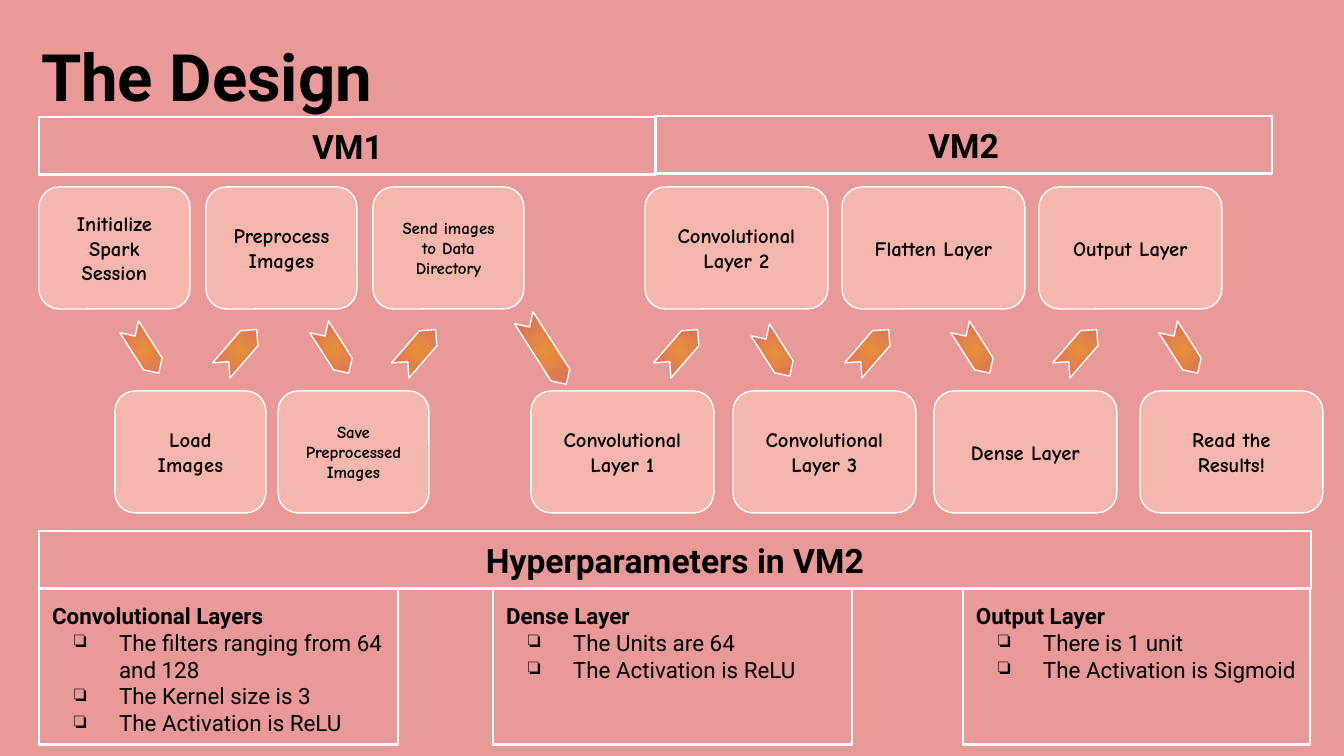
"""Builds the design slide: a two-machine pipeline and its hyperparameters."""
from lxml import etree
from pptx import Presentation
from pptx.dml.color import RGBColor
from pptx.enum.shapes import MSO_SHAPE
from pptx.enum.text import MSO_ANCHOR, MSO_AUTO_SIZE, PP_ALIGN
from pptx.oxml.ns import qn
from pptx.util import Pt

RECTANGLE, ROUNDED = MSO_SHAPE.RECTANGLE, MSO_SHAPE.ROUNDED_RECTANGLE
CHEVRON = MSO_SHAPE.CHEVRON
TOP, MIDDLE = MSO_ANCHOR.TOP, MSO_ANCHOR.MIDDLE
LEFT, CENTER = PP_ALIGN.LEFT, PP_ALIGN.CENTER

COLORS = {"background": "EA9999", "box": "F4B6AD", "line": "FFFFFF", "text": "000000",
          "arrow_center": "E69138", "arrow_edge": "D96868"}
HEADING_FONT, STEP_FONT = "Roboto", "Comic Neue"
SCALE = 914400 / 134.4
PADDING = 13

TITLE = "The Design"
STEPS = [
    ("Initialize Spark Session", 39, 151, 11),
    ("Load Images", 115, 151, 11),
    ("Preprocess Images", 206, 151, 11),
    ("Save Preprocessed Images", 278, 151, 9),
    ("Send images to Data Directory", 373, 151, 9),
    ("Convolutional Layer 1", 531, 183, 11),
    ("Convolutional Layer 2", 645, 183, 11),
    ("Convolutional Layer 3", 733, 183, 11),
    ("Flatten Layer", 842, 183, 11),
    ("Dense Layer", 934, 183, 11),
    ("Output Layer", 1039, 183, 11),
    ("Read the Results!", 1140, 183, 11),
]
ROW_TOPS, STEP_HEIGHT = (187, 391), 122
ARROW_CENTERS = [(144, 350), (239, 350), (334, 350), (418, 350), (545, 351), (680, 350),
                 (775, 353), (871, 350), (975, 350), (1079, 350), (1183, 350)]
ARROW_STYLES = ((55, 22, 57.4), (54, 23, 311))
LONG_ARROW, LONG_WIDTH = 4, 79
BANDS = [("VM1", 39, 117, 617), ("VM2", 655, 116, 617),
         ("Hyperparameters in VM2", 39, 531, 1272)]
BAND_HEIGHT = 58
PANELS = [
    ("Convolutional Layers", 39, 359,
     ["The filters ranging from 64 and 128", "The Kernel size is 3", "The Activation is ReLU"]),
    ("Dense Layer", 493, 359, ["The Units are 64", "The Activation is ReLU"]),
    ("Output Layer", 963, 347, ["There is 1 unit", "The Activation is Sigmoid"]),
]
PANEL_TOP, PANEL_HEIGHT = 589, 156


def px(value):
    return round(value * SCALE)


def color(name):
    return RGBColor.from_string(COLORS[name])


def set_frame(shape, anchor, side=PADDING):
    frame = shape.text_frame
    frame.word_wrap = True
    frame.auto_size = MSO_AUTO_SIZE.NONE
    frame.vertical_anchor = anchor
    frame.margin_left = frame.margin_right = px(side)
    frame.margin_top = frame.margin_bottom = px(PADDING)
    return frame


def write(paragraph, text, size, font=HEADING_FONT, bold=True, align=CENTER):
    paragraph.alignment = align
    run = paragraph.add_run()
    run.text = text
    run.font.name, run.font.size, run.font.bold = font, Pt(size), bold
    run.font.color.rgb = color("text")


def add_bullet(paragraph):
    properties = paragraph._p.get_or_add_pPr()
    properties.set("marL", str(px(67)))
    properties.set("indent", str(-px(45)))
    bullet_color = etree.SubElement(properties, qn("a:buClr"))
    etree.SubElement(bullet_color, qn("a:srgbClr"), val=COLORS["text"])
    etree.SubElement(properties, qn("a:buChar"), char="❏")


def add_outlined(slide, kind, left, top, width, height, line_width):
    shape = slide.shapes.add_shape(kind, px(left), px(top), px(width), px(height))
    shape.shadow.inherit = False
    shape.fill.background()
    shape.line.color.rgb = color("line")
    shape.line.width = Pt(line_width)
    return shape


def add_step(slide, index, text, left, width, size):
    box = add_outlined(slide, ROUNDED, left, ROW_TOPS[index % 2], width, STEP_HEIGHT, 0.75)
    box.fill.solid()
    box.fill.fore_color.rgb = color("box")
    write(set_frame(box, MIDDLE, 15).paragraphs[0], text, size, STEP_FONT)


def add_arrow(slide, index, center_x, center_y):
    width, height, rotation = ARROW_STYLES[index % 2]
    if index == LONG_ARROW:
        width = LONG_WIDTH
    arrow = add_outlined(slide, CHEVRON, center_x - width / 2, center_y - height / 2,
                         width, height, 0.75)
    arrow.rotation = rotation
    arrow.fill.gradient()
    for stop, name in zip(arrow.fill.gradient_stops, ("arrow_center", "arrow_edge")):
        stop.color.rgb = color(name)
    gradient = arrow._element.spPr.find(qn("a:gradFill"))
    gradient.remove(gradient.find(qn("a:lin")))
    radial = etree.Element(qn("a:path"), path="circle")
    etree.SubElement(radial, qn("a:fillToRect"), l="50000", t="50000", r="50000", b="50000")
    gradient.find(qn("a:gsLst")).addnext(radial)


def add_panel(slide, heading, left, width, items):
    panel = add_outlined(slide, RECTANGLE, left, PANEL_TOP, width, PANEL_HEIGHT, 1.5)
    frame = set_frame(panel, TOP)
    write(frame.paragraphs[0], heading, 12, align=LEFT)
    for item in items:
        paragraph = frame.add_paragraph()
        add_bullet(paragraph)
        write(paragraph, item, 12, bold=False, align=LEFT)


def main():
    presentation = Presentation()
    presentation.slide_width, presentation.slide_height = px(1344), px(756)
    slide = presentation.slides.add_slide(presentation.slide_layouts[5])
    slide.background.fill.solid()
    slide.background.fill.fore_color.rgb = color("background")

    title = slide.shapes.title
    title.left, title.top, title.width, title.height = px(28), px(32), px(1173), px(110)
    paragraph = set_frame(title, TOP).paragraphs[0]
    paragraph.line_spacing = 0.9
    write(paragraph, TITLE, 35, align=LEFT)

    for index, step in enumerate(STEPS):
        add_step(slide, index, *step)
    for index, center in enumerate(ARROW_CENTERS):
        add_arrow(slide, index, *center)
    for panel in PANELS:
        add_panel(slide, *panel)
    for text, left, top, width in BANDS:
        band = add_outlined(slide, RECTANGLE, left, top, width, BAND_HEIGHT, 1.5)
        write(set_frame(band, MIDDLE).paragraphs[0], text, 18)

    presentation.save("out.pptx")


if __name__ == "__main__":
    main()
